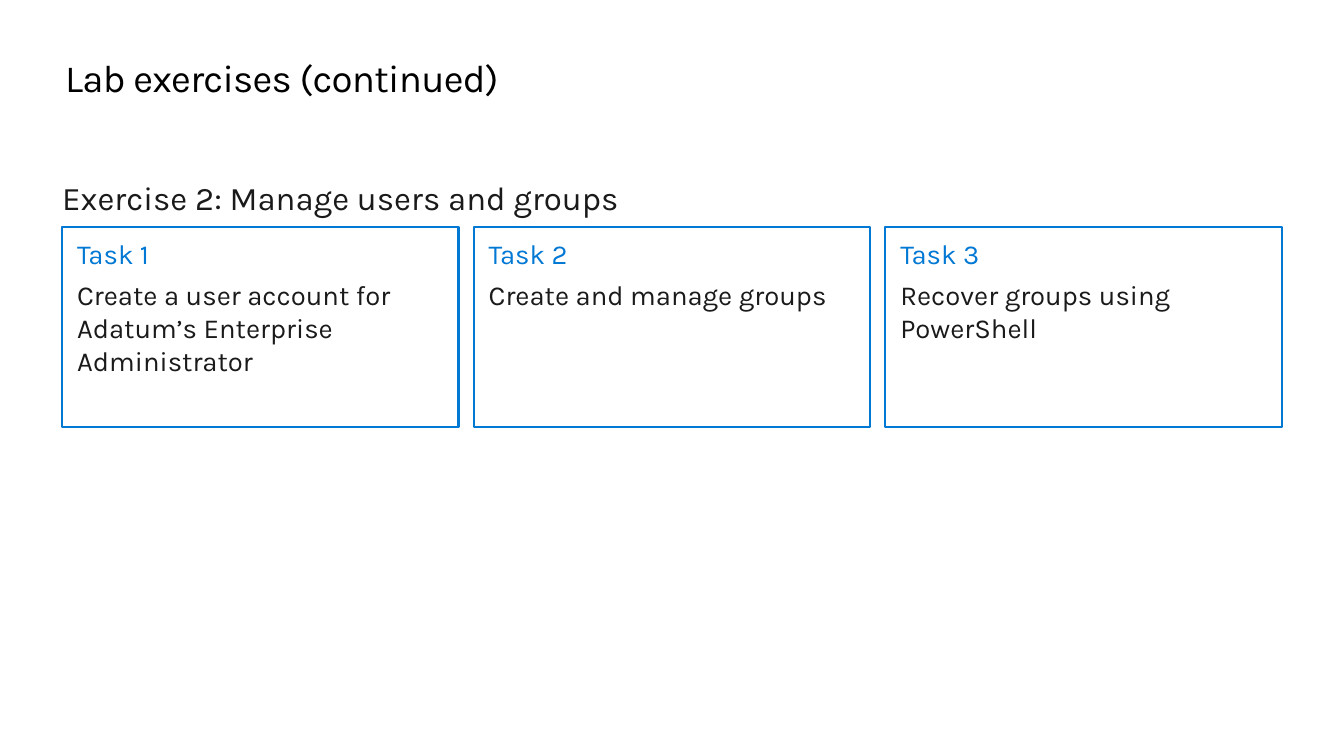
from pptx import Presentation
from pptx.dml.color import RGBColor
from pptx.enum.shapes import MSO_SHAPE
from pptx.enum.text import MSO_ANCHOR, PP_ALIGN
from pptx.util import Inches, Pt

COLORS = {"title": "000000", "body": "1A1A1A", "accent": "0078D4"}
FONT = "Karla"


def style(paragraph, size, color):
    paragraph.alignment = PP_ALIGN.LEFT
    for run in paragraph.runs:
        run.font.name = FONT
        run.font.size = Pt(size)
        run.font.color.rgb = RGBColor.from_string(COLORS[color])


def set_frame(frame, side, top):
    """Wrap the text from the top, with the given insets in inches."""
    frame.word_wrap = True
    frame.vertical_anchor = MSO_ANCHOR.TOP
    frame.margin_left = frame.margin_right = Inches(side)
    frame.margin_top = frame.margin_bottom = Inches(top)


prs = Presentation()
prs.slide_width = Inches(13.6)
prs.slide_height = Inches(7.65)
slide = prs.slides.add_slide(prs.slide_layouts[6])

# Title and exercise heading
title = slide.shapes.add_textbox(Inches(0.66), Inches(0.55), Inches(12.29), Inches(0.48))
set_frame(title.text_frame, 0, 0)
title.text_frame.text = "Lab exercises (continued)"
title_line = title.text_frame.paragraphs[0]
style(title_line, 28, "title")
title_line.runs[0].font._element.set("spc", "-50")

exercise = slide.shapes.add_textbox(Inches(0.63), Inches(1.8), Inches(11.23), Inches(0.4))
set_frame(exercise.text_frame, 0, 0)
exercise.text_frame.text = "Exercise 2: Manage users and groups"
style(exercise.text_frame.paragraphs[0], 24, "body")

# Task cards
tasks = [
    "Create a user account for Adatum’s Enterprise Administrator",
    "Create and manage groups",
    "Recover groups using PowerShell",
]
CARD_LEFT, CARD_WIDTH, CARD_STEP = 0.63, 4.01, 4.165

for index, task in enumerate(tasks):
    card = slide.shapes.add_shape(
        MSO_SHAPE.RECTANGLE, Inches(CARD_LEFT + index * CARD_STEP), Inches(2.3),
        Inches(CARD_WIDTH), Inches(2.02))
    card.shadow.inherit = False
    card.fill.background()
    card.line.color.rgb = RGBColor.from_string(COLORS["accent"])
    card.line.width = Pt(1.5)

    set_frame(card.text_frame, 0.15, 0.1)
    card.text_frame.text = f"Task {index + 1}\n{task}"
    for paragraph, color in zip(card.text_frame.paragraphs, ("accent", "body")):
        style(paragraph, 20, color)
        paragraph.space_after = Pt(6)

prs.save("out.pptx")
